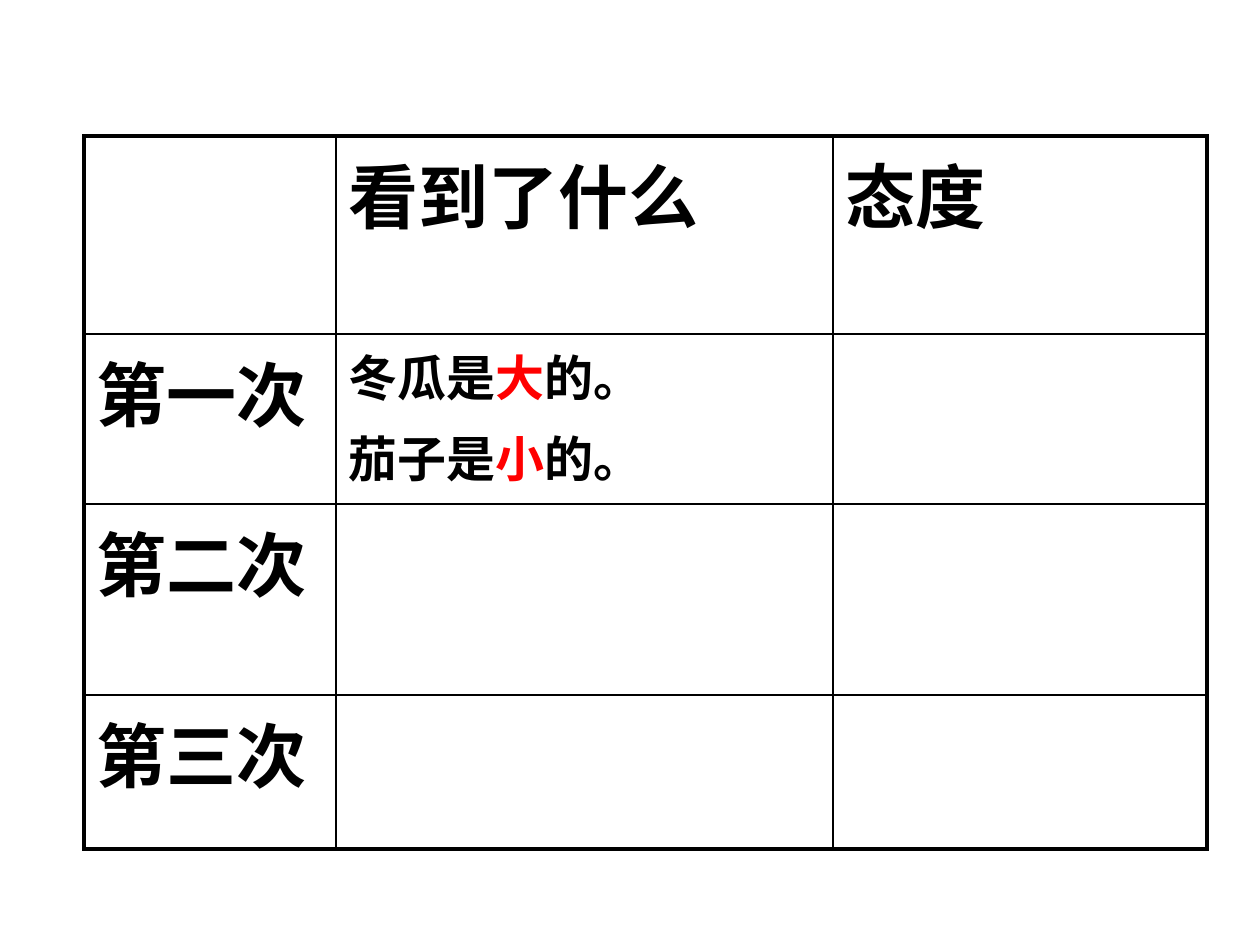
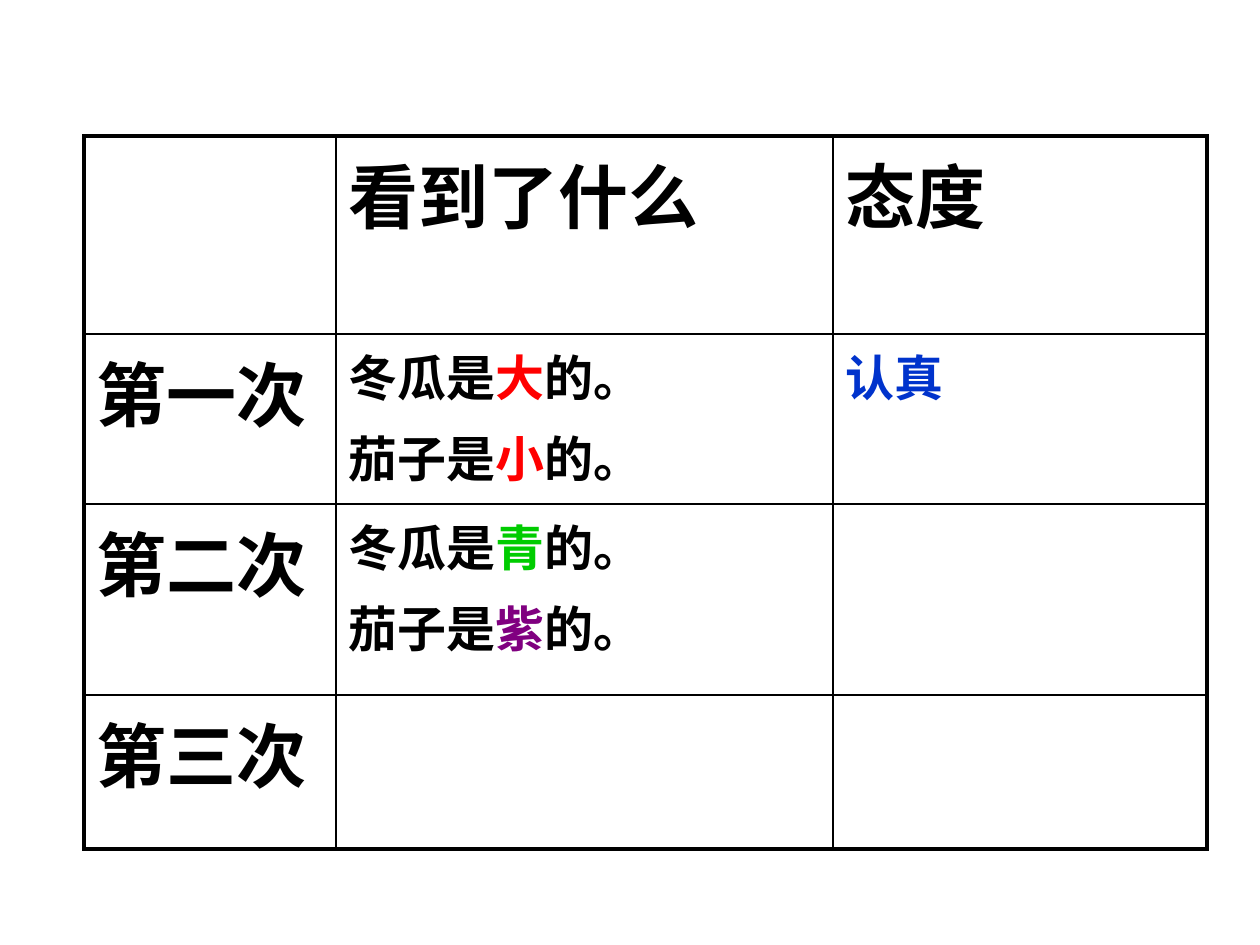
from lxml import etree
from pptx import Presentation
from pptx.dml.color import RGBColor
from pptx.enum.lang import MSO_LANGUAGE_ID
from pptx.oxml.ns import qn
from pptx.util import Emu, Pt

CHINESE = MSO_LANGUAGE_ID.SIMPLIFIED_CHINESE
PX = 914400 // 126
BLANK_LAYOUT = 6

COLORS = {
    "black": "000000",
    "red": "FF0000",
    "green": "00CC00",
    "purple": "800080",
    "blue": "0033CC",
}
HEADING = {"name": "Times New Roman", "bold": True, "size": Pt(40), "language_id": CHINESE}
BODY = {**HEADING, "size": Pt(28)}

TABLE_LEFT, TABLE_TOP = 84, 136
COLUMN_WIDTHS = [252, 497, 374]
ROW_HEIGHTS = [198, 170, 191, 154]
OUTER_LINE, INNER_LINE = Pt(2.25), Pt(1)

COLUMN_HEADINGS = ["", "看到了什么", "态度"]
ROW_HEADINGS = ["第一次", "第二次", "第三次"]


def observation(gourd_word, gourd_color, eggplant_word, eggplant_color):
    """Two sentences, each a list of (text, colour) runs."""
    return [
        [("冬瓜是", "black"), (gourd_word, gourd_color), ("的。", "black")],
        [("茄子是", "black"), (eggplant_word, eggplant_color), ("的。", "black")],
    ]


SIZES_SEEN = observation("大", "red", "小", "red")
COLORS_SEEN = observation("青", "green", "紫", "purple")
CAREFUL = [[("认真", "blue")]]

# Answers shown on each slide, by (row, column)
SLIDE_ANSWERS = [
    {(1, 1): SIZES_SEEN},
    {(1, 1): SIZES_SEEN, (1, 2): CAREFUL, (2, 1): COLORS_SEEN},
]


class Deck:
    def __init__(self):
        self.presentation = Presentation()
        self.presentation.slide_width = Emu(1260 * PX)
        self.presentation.slide_height = Emu(945 * PX)
        self.slide = None

    def add_slide(self):
        layout = self.presentation.slide_layouts[BLANK_LAYOUT]
        self.slide = self.presentation.slides.add_slide(layout)

    def add_table(self, answers):
        box = (TABLE_LEFT, TABLE_TOP, sum(COLUMN_WIDTHS), sum(ROW_HEIGHTS))
        table = self.slide.shapes.add_table(
            len(ROW_HEIGHTS), len(COLUMN_WIDTHS), *(Emu(length * PX) for length in box)
        ).table
        table.first_row = table.horz_banding = False
        for column, width in zip(table.columns, COLUMN_WIDTHS):
            column.width = Emu(width * PX)
        for row, height in zip(table.rows, ROW_HEIGHTS):
            row.height = Emu(height * PX)

        last_row, last_column = len(ROW_HEIGHTS) - 1, len(COLUMN_WIDTHS) - 1
        for row in range(last_row + 1):
            for column in range(last_column + 1):
                cell = table.cell(row, column)
                outer_sides = {
                    "L": column == 0,
                    "R": column == last_column,
                    "T": row == 0,
                    "B": row == last_row,
                }
                self.set_borders(cell, outer_sides)
                cell.fill.background()
                if row == 0:
                    self.add_heading(cell, COLUMN_HEADINGS[column])
                elif column == 0:
                    self.add_heading(cell, ROW_HEADINGS[row - 1])
                elif (row, column) in answers:
                    self.add_text(cell, answers[row, column], BODY)

    def set_borders(self, cell, outer_sides):
        properties = cell._tc.get_or_add_tcPr()
        for side, is_outer in outer_sides.items():
            width = OUTER_LINE if is_outer else INNER_LINE
            line = etree.SubElement(properties, qn(f"a:ln{side}"), w=str(int(width)))
            fill = etree.SubElement(line, qn("a:solidFill"))
            etree.SubElement(fill, qn("a:srgbClr"), val=COLORS["black"])

    def add_heading(self, cell, text):
        if text:
            self.add_text(cell, [[(text, "black")]], HEADING)

    def add_text(self, cell, paragraphs, style):
        frame = cell.text_frame
        for index, runs in enumerate(paragraphs):
            paragraph = frame.add_paragraph() if index else frame.paragraphs[0]
            spacing = etree.SubElement(paragraph._p.get_or_add_pPr(), qn("a:spcBef"))
            etree.SubElement(spacing, qn("a:spcPct"), val="20000")
            for text, color in runs:
                run = paragraph.add_run()
                run.text = text
                for name, value in style.items():
                    setattr(run.font, name, value)
                run.font.color.rgb = RGBColor.from_string(COLORS[color])


def main():
    deck = Deck()
    for answers in SLIDE_ANSWERS:
        deck.add_slide()
        deck.add_table(answers)
    deck.presentation.save("out.pptx")


if __name__ == "__main__":
    main()
